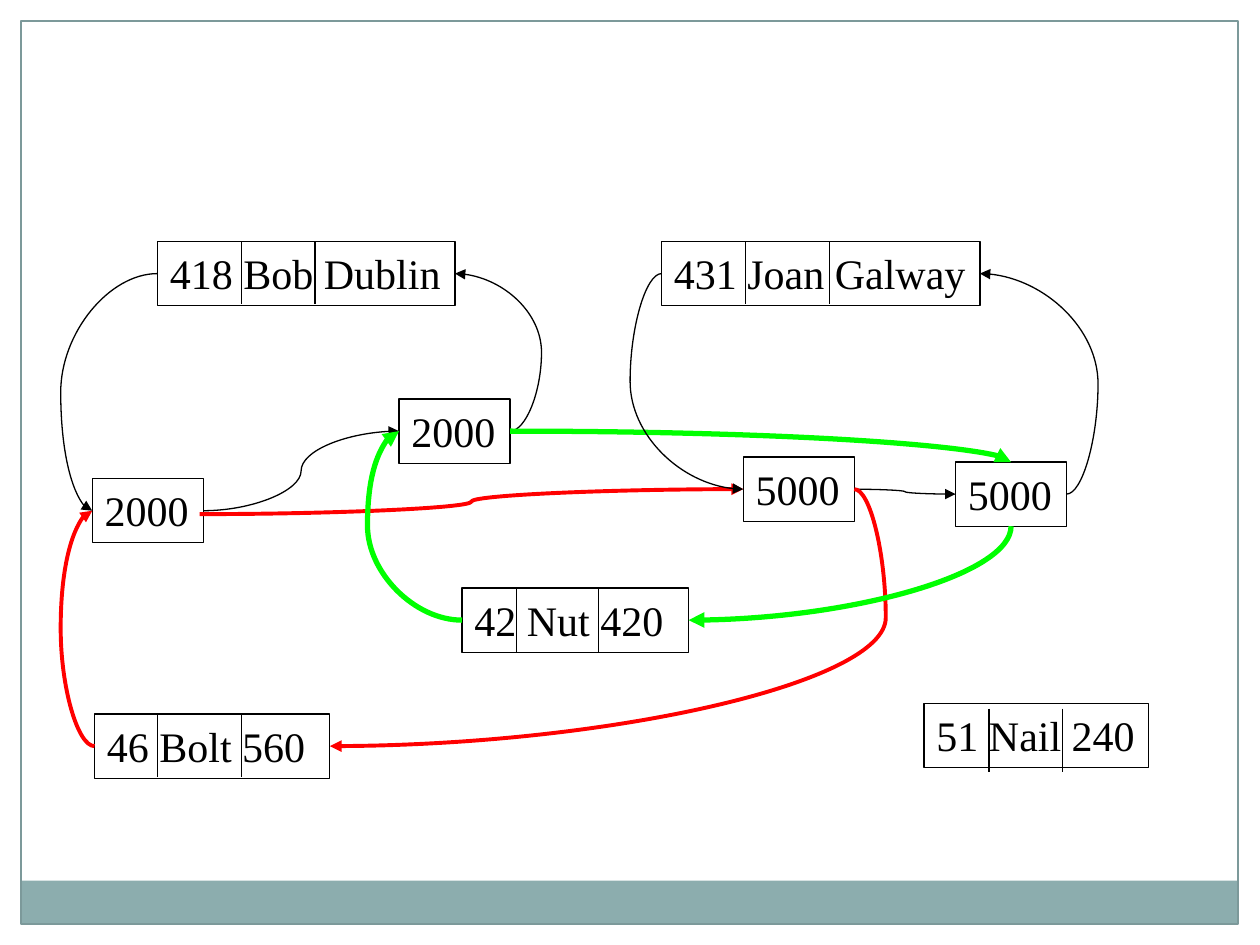
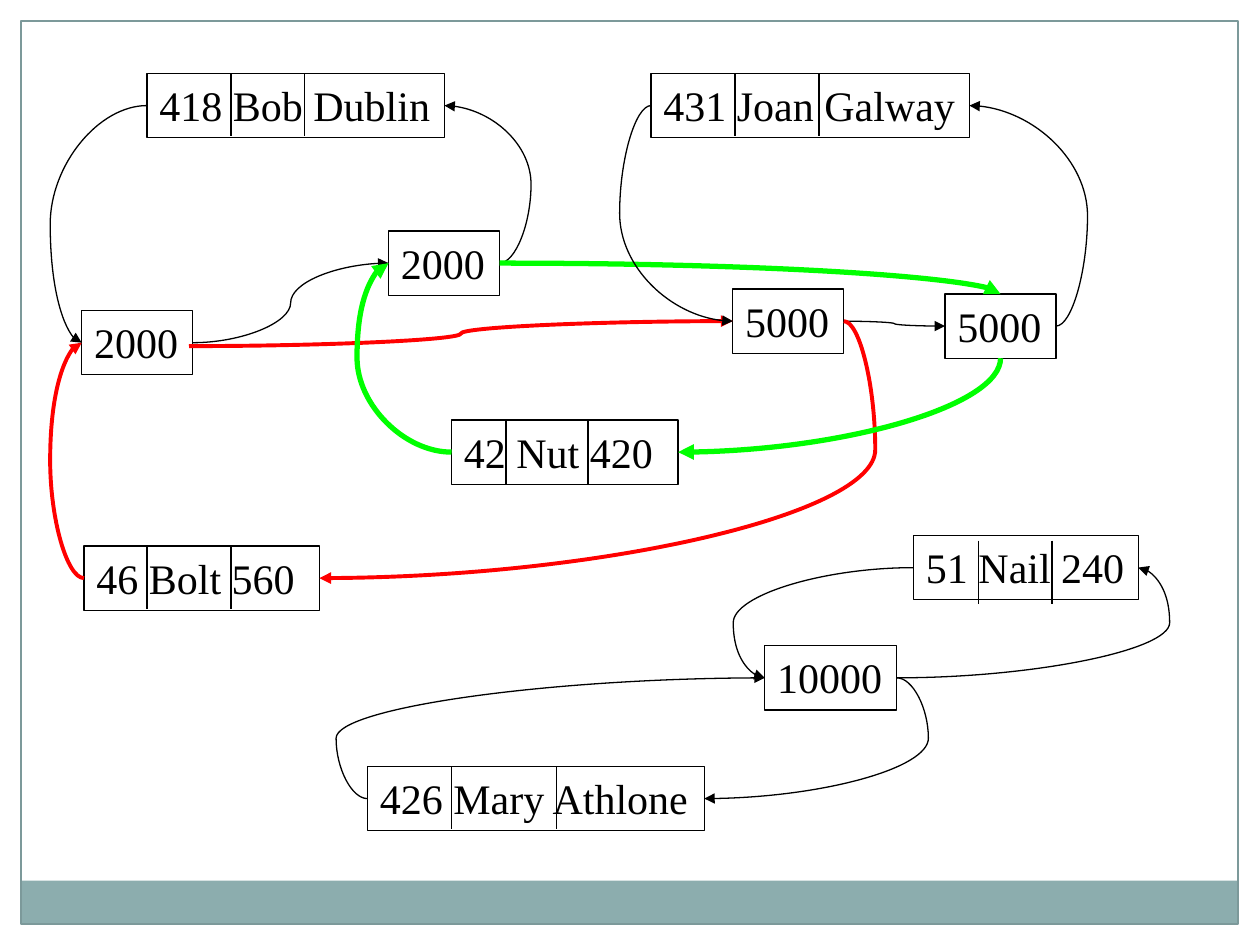
from dataclasses import dataclass
from lxml.etree import SubElement
from pptx import Presentation
from pptx.dml.color import RGBColor
from pptx.enum.shapes import MSO_CONNECTOR, MSO_SHAPE
from pptx.oxml.ns import qn
from pptx.util import Pt


@dataclass(frozen=True)
class Theme:
    font: str = "Times New Roman"
    size: float = 24
    ink: str = "000000"
    red: str = "FF0000"
    green: str = "00FF00"
    band: str = "8CADAE"
    frame: str = "7C999A"
    thin: float = 0.75
    medium: float = 2.25
    thick: float = 3


THEME = Theme()
BLACK = (THEME.ink, THEME.thin)
RED = (THEME.red, THEME.medium)
GREEN = (THEME.green, THEME.thick)

TOP, LEFT, BOTTOM, RIGHT = range(4)
RECORD_H, DIVIDER_H = 36.7, 36
BEND_GAP = 18  # how far a looping arrow swings out past the boxes

# Records: key: (text, left, top, width, divider positions, divider drop)
RECORDS = {
    "bob": ("418 Bob Dublin", 90, 138, 170, (138, 180), 0),
    "nut": ("42 Nut 420", 264, 336, 129.5, (295.2, 342), 0.5),
    "bolt": ("46 Bolt 560", 54, 408, 134.5, (90, 138), 0),
    "nail": ("51 Nail 240", 528, 402, 128.5, (565.2, 607.2), 3),
    "bob bolt": ("2000", 52.7, 273.5, 63.5, (), 0),
    "bob nut": ("2000", 228, 228, 63.5, (), 0),
    "joan": ("431 Joan Galway", 378, 138, 182, (426, 474), 0),
    "joan bolt": ("5000", 424.7, 261.2, 63.5, (), 0),
    "joan nut": ("5000", 546, 264, 63.5, (), 0),
}
MARY_RECORDS = {
    "mary": ("426 Mary Athlone", 216, 534, 192.5, (264, 324), 0),
    "mary nail": ("10000", 443, 465, 75.5, (), 0),
}

# Arrows: (from, side, to, side, style, shift of the free start or None)
LINKS = [
    ("bob", LEFT, "bob bolt", LEFT, BLACK, None),
    ("bob bolt", RIGHT, "bob nut", LEFT, BLACK, None),
    ("bob nut", RIGHT, "bob", RIGHT, BLACK, None),
    ("bolt", LEFT, "bob bolt", LEFT, RED, None),
    ("bob bolt", RIGHT, "joan bolt", LEFT, RED, (-2.2, 2)),
    ("bob nut", RIGHT, "joan nut", TOP, GREEN, None),
    ("nut", LEFT, "bob nut", LEFT, GREEN, None),
    ("joan", LEFT, "joan bolt", LEFT, BLACK, None),
    ("joan nut", RIGHT, "joan", RIGHT, BLACK, None),
    ("joan bolt", RIGHT, "joan nut", LEFT, BLACK, None),
    ("joan bolt", RIGHT, "bolt", RIGHT, RED, None),
    ("joan nut", BOTTOM, "nut", RIGHT, GREEN, None),
]
MARY_LINKS = [
    ("mary", LEFT, "mary nail", LEFT, BLACK, None),
    ("mary nail", RIGHT, "mary", RIGHT, BLACK, None),
    ("nail", LEFT, "mary nail", LEFT, BLACK, None),
    ("mary nail", RIGHT, "nail", RIGHT, BLACK, None),
]

# Slides: (records, links, shift of the whole diagram)
SLIDES = [
    (RECORDS, LINKS, (0, 0)),
    (RECORDS | MARY_RECORDS, LINKS + MARY_LINKS, (-6, -96)),
]


def style_line(line, style):
    color, width = style
    line.color.rgb = RGBColor.from_string(color)
    line.width = Pt(width)


def add_line(slide, kind, start, end, style):
    line = slide.shapes.add_connector(kind, *map(Pt, start + end))
    style_line(line.line, style)
    SubElement(line._element.spPr, qn("a:effectLst"))
    return line


def add_frame(slide):
    band = slide.shapes.add_shape(MSO_SHAPE.RECTANGLE, Pt(11.8), Pt(503.3), Pt(695.5), Pt(24.5))
    band.fill.solid()
    band.fill.fore_color.rgb = RGBColor.from_string(THEME.band)
    band.line.fill.background()
    border = slide.shapes.add_shape(MSO_SHAPE.RECTANGLE, Pt(12), Pt(12), Pt(695.5), Pt(516))
    border.fill.background()
    style_line(border.line, (THEME.frame, THEME.thin))
    for part in (band, border):
        part.shadow.inherit = False


def add_record(slide, record, shift):
    text, left, top, width, dividers, drop = record
    dx, dy = shift
    box = slide.shapes.add_textbox(Pt(left + dx), Pt(top + dy), Pt(width), Pt(RECORD_H))
    style_line(box.line, BLACK)
    frame = box.text_frame
    frame.word_wrap = True
    frame.margin_right = 0
    frame.text = text
    font = frame.paragraphs[0].font
    font.name, font.size = THEME.font, Pt(THEME.size)
    font.color.rgb = RGBColor.from_string(THEME.ink)
    for x in dividers:
        y = top + dy + drop
        add_line(slide, MSO_CONNECTOR.STRAIGHT, (x + dx, y), (x + dx, y + DIVIDER_H), BLACK)
    return box


def side_point(box, side):
    left, top, width, height = box.left.pt, box.top.pt, box.width.pt, box.height.pt
    return {
        TOP: (left + width / 2, top),
        LEFT: (left, top + height / 2),
        BOTTOM: (left + width / 2, top + height),
        RIGHT: (left + width, top + height / 2),
    }[side]


def bend_ratio(x1, x2, from_side, to_side):
    """Place of the bend between both ends, as a share of their distance."""
    if from_side != to_side:
        return 0.5
    bend = min(x1, x2) - BEND_GAP if from_side == LEFT else max(x1, x2) + BEND_GAP
    return (bend - x1) / (x2 - x1)


def add_link(slide, boxes, link):
    source, from_side, target, to_side, style, free_shift = link
    (x1, y1), (x2, y2) = side_point(boxes[source], from_side), side_point(boxes[target], to_side)
    if free_shift:
        x1, y1 = x1 + free_shift[0], y1 + free_shift[1]
    arrow = add_line(slide, MSO_CONNECTOR.CURVE, (x1, y1), (x2, y2), style)
    if not free_shift:
        arrow.begin_connect(boxes[source], from_side)
    arrow.end_connect(boxes[target], to_side)
    SubElement(arrow.line._get_or_add_ln(), qn("a:tailEnd"), type="triangle")

    properties = arrow._element.spPr
    geometry = properties.find(qn("a:prstGeom"))
    transform = properties.find(qn("a:xfrm"))
    if to_side == TOP or from_side == BOTTOM:
        geometry.set("prst", "curvedConnector2")
    else:
        ratio = bend_ratio(x1, x2, from_side, to_side)
        guides = geometry.find(qn("a:avLst"))
        SubElement(guides, qn("a:gd"), name="adj1", fmla=f"val {round(ratio * 100000)}")

    # The curve leaves its start rightwards; turn it for the other sides
    if from_side == LEFT:
        transform.set("rot", "10800000")
        for flip in ("flipH", "flipV"):
            transform.set(flip, "0" if transform.get(flip) == "1" else "1")
    elif from_side == BOTTOM:
        width, height = abs(y2 - y1), abs(x2 - x1)
        arrow.left, arrow.top = Pt((x1 + x2 - width) / 2), Pt((y1 + y2 - height) / 2)
        arrow.width, arrow.height = Pt(width), Pt(height)
        transform.set("rot", "5400000")
        for flip in ("flipH", "flipV"):
            transform.set(flip, "0")


def main():
    deck = Presentation()
    deck.slide_width, deck.slide_height = Pt(720), Pt(540)
    for records, links, shift in SLIDES:
        slide = deck.slides.add_slide(deck.slide_layouts[6])
        add_frame(slide)
        boxes = {key: add_record(slide, record, shift) for key, record in records.items()}
        for link in links:
            add_link(slide, boxes, link)
    deck.save("out.pptx")


if __name__ == "__main__":
    main()
